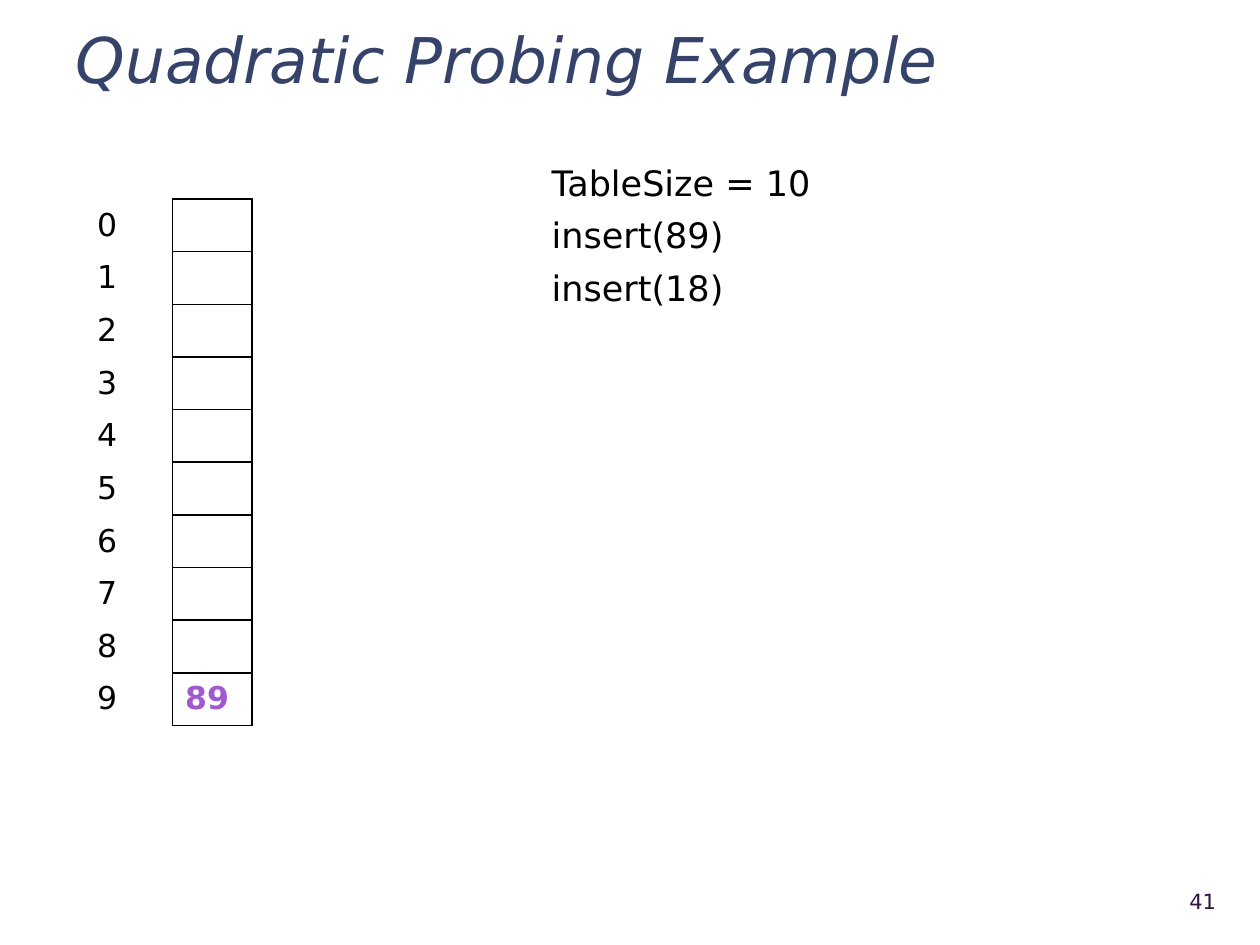
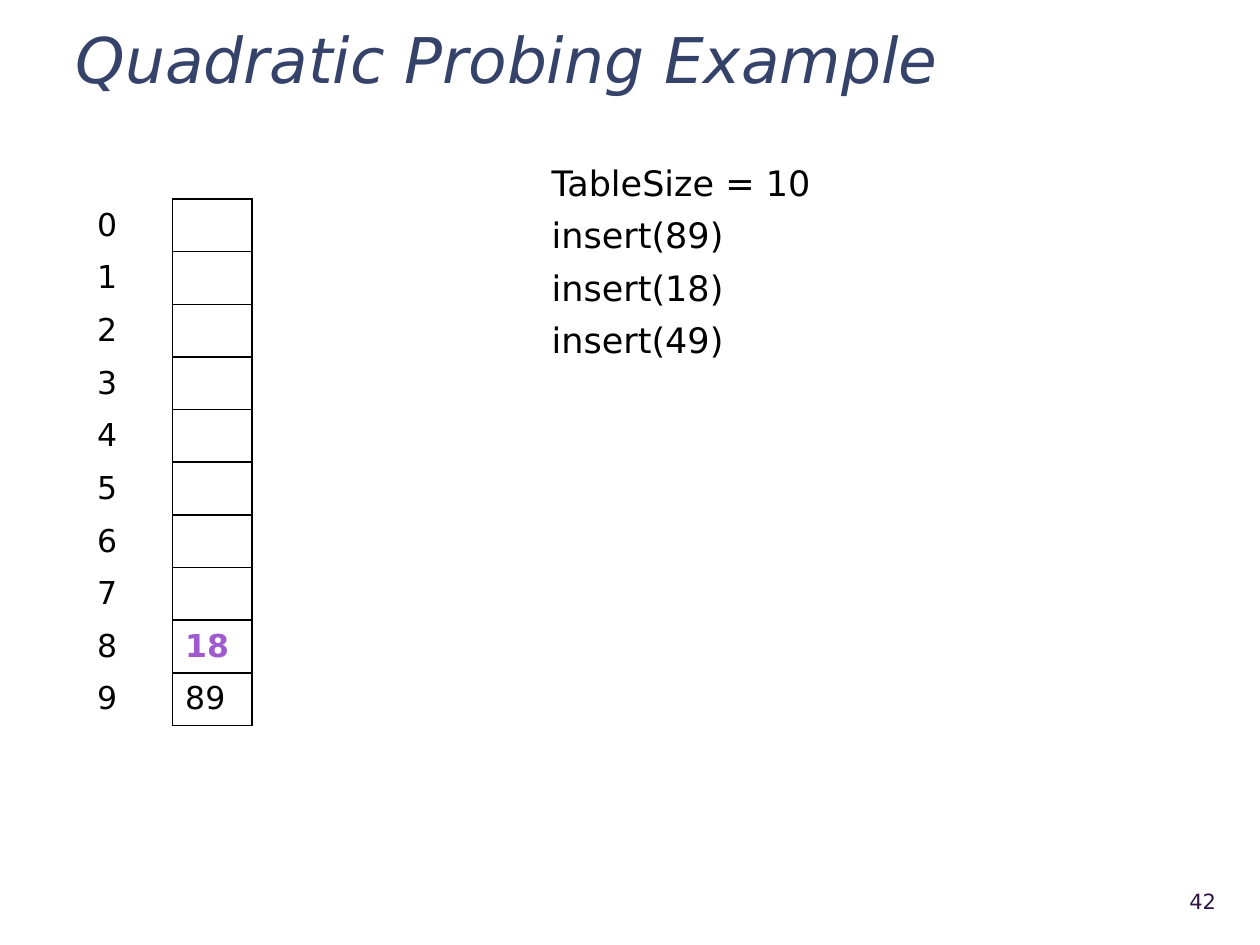
from lxml import etree
from pptx import Presentation
from pptx.dml.color import RGBColor
from pptx.enum.text import MSO_ANCHOR, MSO_AUTO_SIZE, PP_ALIGN
from pptx.oxml.ns import qn
from pptx.util import Inches, Pt

MIDDLE, TOP = MSO_ANCHOR.MIDDLE, MSO_ANCHOR.TOP
LEFT, RIGHT = PP_ALIGN.LEFT, PP_ALIGN.RIGHT
FIXED_SIZE, GROW = MSO_AUTO_SIZE.NONE, MSO_AUTO_SIZE.SHAPE_TO_FIT_TEXT

FONT = "DejaVu Sans"
BLACK = RGBColor(0x00, 0x00, 0x00)
TITLE_BLUE = RGBColor(0x35, 0x43, 0x6A)
NUMBER_PURPLE = RGBColor(0x2F, 0x13, 0x43)
NEW_KEY_PURPLE = RGBColor(0x9F, 0x5A, 0xD0)

TITLE_ONLY_LAYOUT = 5
TITLE = "Quadratic Probing Example"
TABLE_SIZE = 10

# Slide number, steps shown, keys by table index, index of the key just inserted
STAGES = [
    (41, ["insert(89)", "insert(18)"], {9: 89}, 9),
    (42, ["insert(89)", "insert(18)", "insert(49)"], {8: 18, 9: 89}, 8),
]


class Deck:
    def __init__(self):
        self.presentation = Presentation()
        self.presentation.slide_width = Inches(10)
        self.presentation.slide_height = Inches(7.5)
        self.slide = None

    def add_slide(self, title):
        layout = self.presentation.slide_layouts[TITLE_ONLY_LAYOUT]
        self.slide = self.presentation.slides.add_slide(layout)
        shape = self.slide.shapes.title
        shape.left, shape.top = Inches(0.5), Inches(0.17)
        shape.width, shape.height = Inches(9.25), Inches(0.53)
        frame = shape.text_frame
        frame.text = title
        frame.auto_size = FIXED_SIZE
        frame.vertical_anchor = MIDDLE
        paragraph = frame.paragraphs[0]
        paragraph.alignment = LEFT
        paragraph.line_spacing = 1.1
        self.style(paragraph, 36, TITLE_BLUE)
        paragraph.font.italic = True

    def style(self, paragraph, size, color, bold=False):
        font = paragraph.font
        font.name, font.size, font.bold = FONT, Pt(size), bold
        font.color.rgb = color

    def text(self, lines, box, size, color, align=LEFT, anchor=TOP, fit=FIXED_SIZE):
        shape = self.slide.shapes.add_textbox(*map(Inches, box))
        frame = shape.text_frame
        frame.text = "\n".join(lines)
        frame.word_wrap = True
        frame.auto_size = fit
        frame.vertical_anchor = anchor
        for paragraph in frame.paragraphs:
            paragraph.alignment = align
            paragraph.space_before = Pt(6)
            self.style(paragraph, size, color)

    def slide_number(self, number):
        self.text([str(number)], (8.89, 6.95, 0.86, 0.4), 12, NUMBER_PURPLE,
                  align=RIGHT, anchor=MIDDLE)

    def steps(self, steps):
        lines = [f"TableSize = {TABLE_SIZE}", *steps]
        height = 0.02 + 0.42 * len(lines)
        self.text(lines, (4.28, 1.23, 4.82, height), 20, BLACK, fit=GROW)

    def hash_table(self, keys, new_index):
        table = self.slide.shapes.add_table(
            TABLE_SIZE, 2, Inches(0.67), Inches(1.58), Inches(1.33), Inches(4.18)
        ).table
        table.first_row = table.horz_banding = False
        table.columns[0].width = Inches(0.7)
        table.columns[1].width = Inches(0.63)
        for index in range(TABLE_SIZE):
            self.cell(table.cell(index, 0), index, BLACK, borders="R")
            is_new = index == new_index
            self.cell(table.cell(index, 1), keys.get(index, ""),
                      NEW_KEY_PURPLE if is_new else BLACK, is_new, borders="LRTB")

    def cell(self, cell, value, color, bold=False, borders=""):
        cell.text = str(value)
        cell.vertical_anchor = MIDDLE
        cell.fill.background()
        self.style(cell.text_frame.paragraphs[0], 18, color, bold)
        self.borders(cell, borders)

    def borders(self, cell, sides):
        """Draw 1 pt black lines on the sides named, which are in the order L, R, T, B."""
        properties = cell._tc.get_or_add_tcPr()
        for position, side in enumerate(sides):
            line = etree.Element(qn(f"a:ln{side}"), w=str(Pt(1)))
            fill = etree.SubElement(line, qn("a:solidFill"))
            etree.SubElement(fill, qn("a:srgbClr"), val=str(BLACK))
            properties.insert(position, line)


def main():
    deck = Deck()
    for number, steps, keys, new_index in STAGES:
        deck.add_slide(TITLE)
        deck.slide_number(number)
        deck.hash_table(keys, new_index)
        deck.steps(steps)
    deck.presentation.save("out.pptx")


if __name__ == "__main__":
    main()
